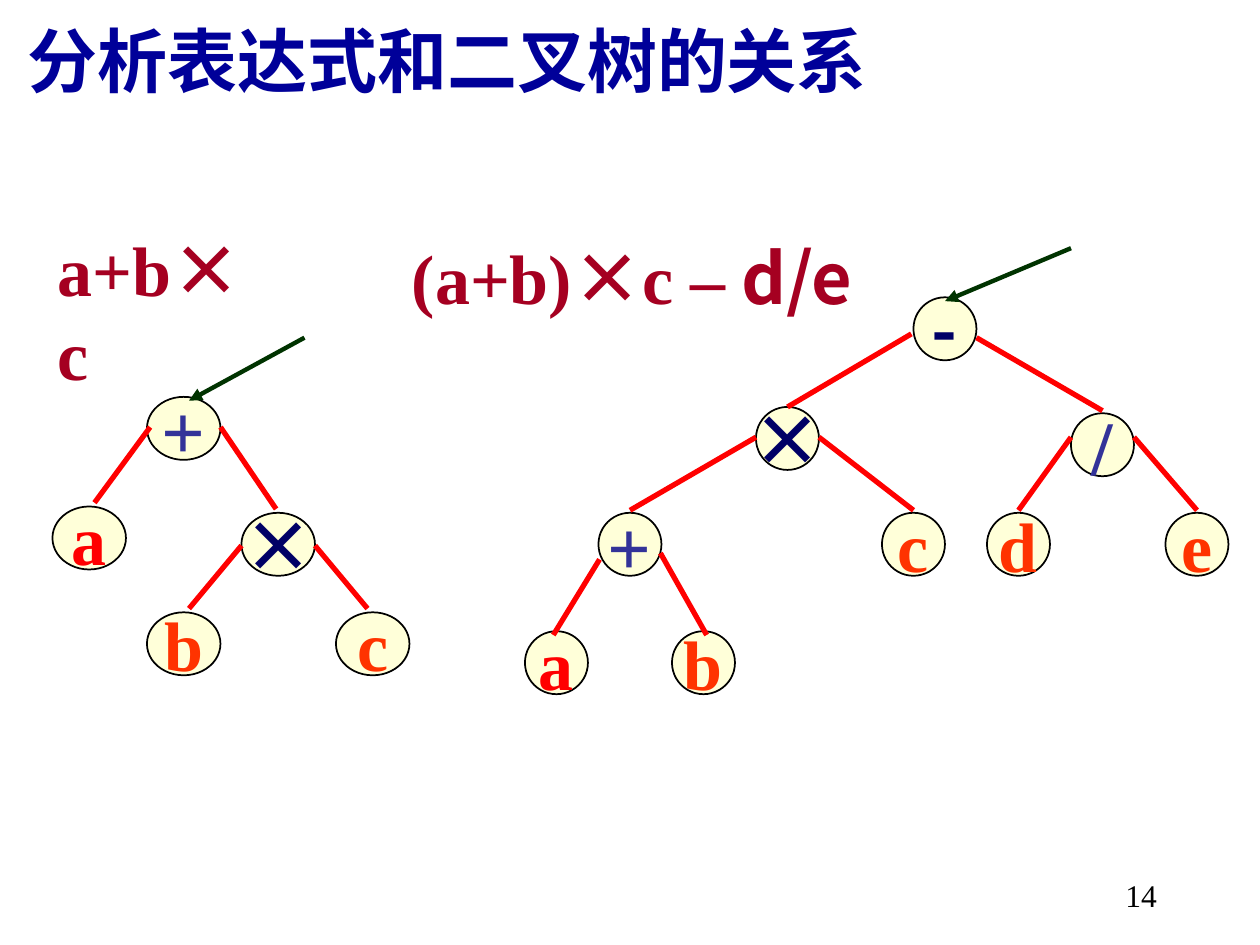
from dataclasses import dataclass

from lxml import etree
from pptx import Presentation
from pptx.dml.color import RGBColor
from pptx.enum.shapes import MSO_CONNECTOR, MSO_SHAPE
from pptx.enum.text import MSO_ANCHOR, MSO_AUTO_SIZE, PP_ALIGN
from pptx.oxml.ns import qn
from pptx.util import Inches, Pt

ELLIPSE = MSO_SHAPE.OVAL
STRAIGHT = MSO_CONNECTOR.STRAIGHT
TOP, MIDDLE = MSO_ANCHOR.TOP, MSO_ANCHOR.MIDDLE
LEFT, CENTER, RIGHT = PP_ALIGN.LEFT, PP_ALIGN.CENTER, PP_ALIGN.RIGHT
GROW = MSO_AUTO_SIZE.SHAPE_TO_FIT_TEXT

COLUMN = 1 / 12  # the slide is 120 columns wide; heights are in inches
NODE_HEIGHT = 0.5


@dataclass(frozen=True)
class Theme:
    serif: str = "Times New Roman"
    sans: str = "Noto Sans CJK SC"
    title: str = "000099"
    formula: str = "A50021"
    node: str = "FFFFD9"
    outline: str = "000000"
    edge: str = "FF0000"
    pointer: str = "003300"
    first_operand: str = "FF0000"
    operand: str = "FF3300"
    operator: str = "333399"
    bold_operator: str = "000066"
    text_size: int = 40
    operator_size: int = 44
    number_size: int = 18


THEME = Theme()

# Label: (colour, size, font); every other label is a plain operand
LABEL_STYLES = {
    "a": (THEME.first_operand, THEME.text_size, THEME.serif),
    "+": (THEME.operator, THEME.operator_size, THEME.serif),
    "/": (THEME.operator, THEME.operator_size, THEME.serif),
    "×": (THEME.bold_operator, THEME.text_size, THEME.sans),
    "-": (THEME.bold_operator, THEME.text_size, THEME.sans),
}
OPERAND_STYLE = (THEME.operand, THEME.text_size, THEME.serif)

# Each tree: node width, nodes (label, column, top), edges and root pointer
# as (from column, from y, to column, to y)
SUM_TREE = {
    "width": 7,
    "nodes": [("a", 5, 4.02), ("b", 14, 4.86), ("c", 32, 4.86),
              ("×", 23, 4.07), ("+", 14, 3.15)],
    "edges": [(23, 4.33, 18, 4.83), (14.3, 3.39, 9, 3.99),
              (21, 3.39, 26.3, 4.04), (30, 4.33, 35, 4.83)],
    "pointer": (29, 2.68, 18, 3.18),
}
DIFFERENCE_TREE = {
    "width": 6,
    "nodes": [("a", 50, 5.01), ("b", 64, 5.01), ("c", 84, 4.07),
              ("d", 94, 4.07), ("e", 111, 4.07), ("-", 87, 2.36),
              ("×", 72, 3.23), ("+", 57, 4.07), ("/", 102, 3.28)],
    "edges": [(86.8, 2.65, 75, 3.23), (93, 2.68, 105, 3.26),
              (72, 3.47, 60, 4.05), (78, 3.47, 87, 4.05),
              (102, 3.47, 97, 4.05), (108, 3.47, 114, 4.05),
              (57.1, 4.44, 52.7, 5.04), (62.9, 4.39, 67.3, 5.04)],
    "pointer": (102, 1.97, 90, 2.39),
}


def set_font(span, name):
    """Set the Latin font, and the sans font for East Asian characters."""
    span.font.name = name
    latin = span.font._element.find(qn("a:latin"))
    east_asian = etree.Element(qn("a:ea"), typeface=THEME.sans)
    latin.addnext(east_asian)


def write(shape, spans, color, size, bold=True, align=LEFT, anchor=TOP, wrap=True):
    """Fill a shape with one paragraph of (text, font) spans."""
    frame = shape.text_frame
    frame.word_wrap = wrap
    frame.vertical_anchor = anchor
    para = frame.paragraphs[0]
    para.alignment = align
    para.font.size = Pt(size)
    para.font.bold = bold
    para.font.color.rgb = RGBColor.from_string(color)
    for text, font in spans:
        span = para.add_run()
        span.text = text
        set_font(span, font)


def add_title(page, text):
    title = page.shapes.title
    title.left, title.top = Inches(0.12), Inches(0.09)
    title.width, title.height = Inches(9.88), Inches(0.77)
    write(title, [(text, THEME.serif)], THEME.title, THEME.text_size)
    title.text_frame.auto_size = GROW


def add_formula(page, left, top, width, spans):
    box = page.shapes.add_textbox(Inches(left), Inches(top), Inches(width), Inches(0.77))
    write(box, spans, THEME.formula, THEME.text_size)
    box.text_frame.auto_size = GROW


def add_node(page, label, column, top, width):
    node = page.shapes.add_shape(ELLIPSE, Inches(column * COLUMN), Inches(top),
                                 Inches(width * COLUMN), Inches(NODE_HEIGHT))
    node.shadow.inherit = False
    node.fill.solid()
    node.fill.fore_color.rgb = RGBColor.from_string(THEME.node)
    node.line.color.rgb = RGBColor.from_string(THEME.outline)
    node.line.width = Pt(1)
    color, size, font = LABEL_STYLES.get(label, OPERAND_STYLE)
    write(node, [(label, font)], color, size, align=CENTER, anchor=MIDDLE, wrap=False)


def add_line(page, ends, color, width, arrow=False):
    x1, y1, x2, y2 = ends
    line = page.shapes.add_connector(STRAIGHT, Inches(x1 * COLUMN), Inches(y1),
                                     Inches(x2 * COLUMN), Inches(y2))
    line.line.color.rgb = RGBColor.from_string(color)
    line.line.width = Pt(width)
    if arrow:
        etree.SubElement(line.line._get_or_add_ln(), qn("a:tailEnd"), type="triangle")
    etree.SubElement(line._element.spPr, qn("a:effectLst"))


def add_tree(page, tree):
    for label, column, top in tree["nodes"]:
        add_node(page, label, column, top, tree["width"])
    for ends in tree["edges"]:
        add_line(page, ends, THEME.edge, 3)
    add_line(page, tree["pointer"], THEME.pointer, 2.5, arrow=True)


def add_page_number(page, number):
    box = page.shapes.add_textbox(Inches(7.2), Inches(6.9), Inches(2.08), Inches(0.5))
    write(box, [(number, THEME.serif)], THEME.outline, THEME.number_size,
          bold=False, align=RIGHT)


def main():
    deck = Presentation()
    deck.slide_width, deck.slide_height = Inches(10), Inches(7.5)
    page = deck.slides.add_slide(deck.slide_layouts[5])

    # Title and the two expressions
    add_title(page, "分析表达式和二叉树的关系")
    add_formula(page, 3.17, 1.81, 4.19,
                [("(a+b)", THEME.serif), ("×", THEME.sans),
                 ("c –", THEME.serif), (" d/e", THEME.sans)])
    add_formula(page, 0.36, 1.75, 1.82,
                [("a+b", THEME.serif), ("×", THEME.sans), ("c", THEME.serif)])

    # Their binary trees
    for tree in (SUM_TREE, DIFFERENCE_TREE):
        add_tree(page, tree)

    add_page_number(page, "14")
    deck.save("out.pptx")


if __name__ == "__main__":
    main()
